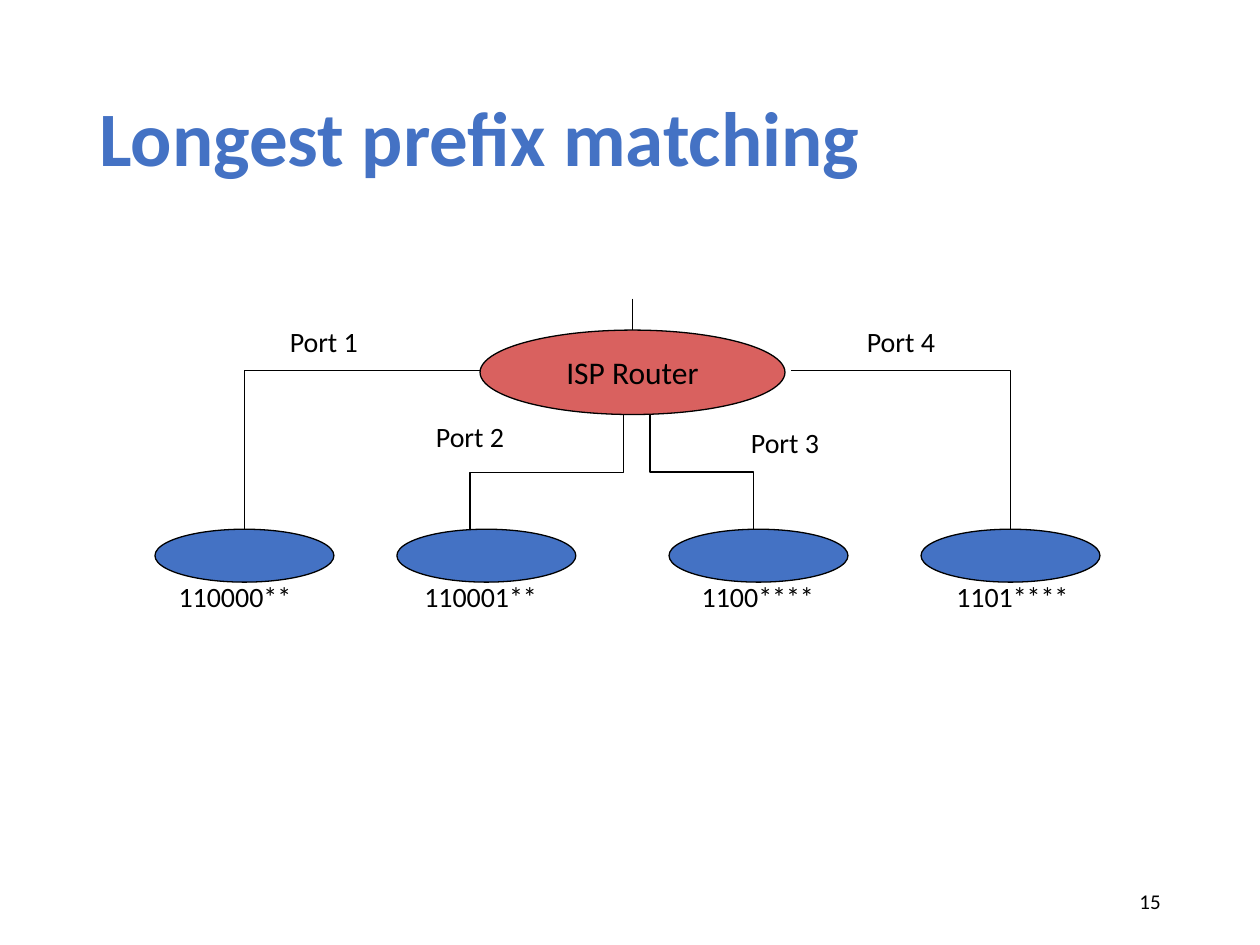
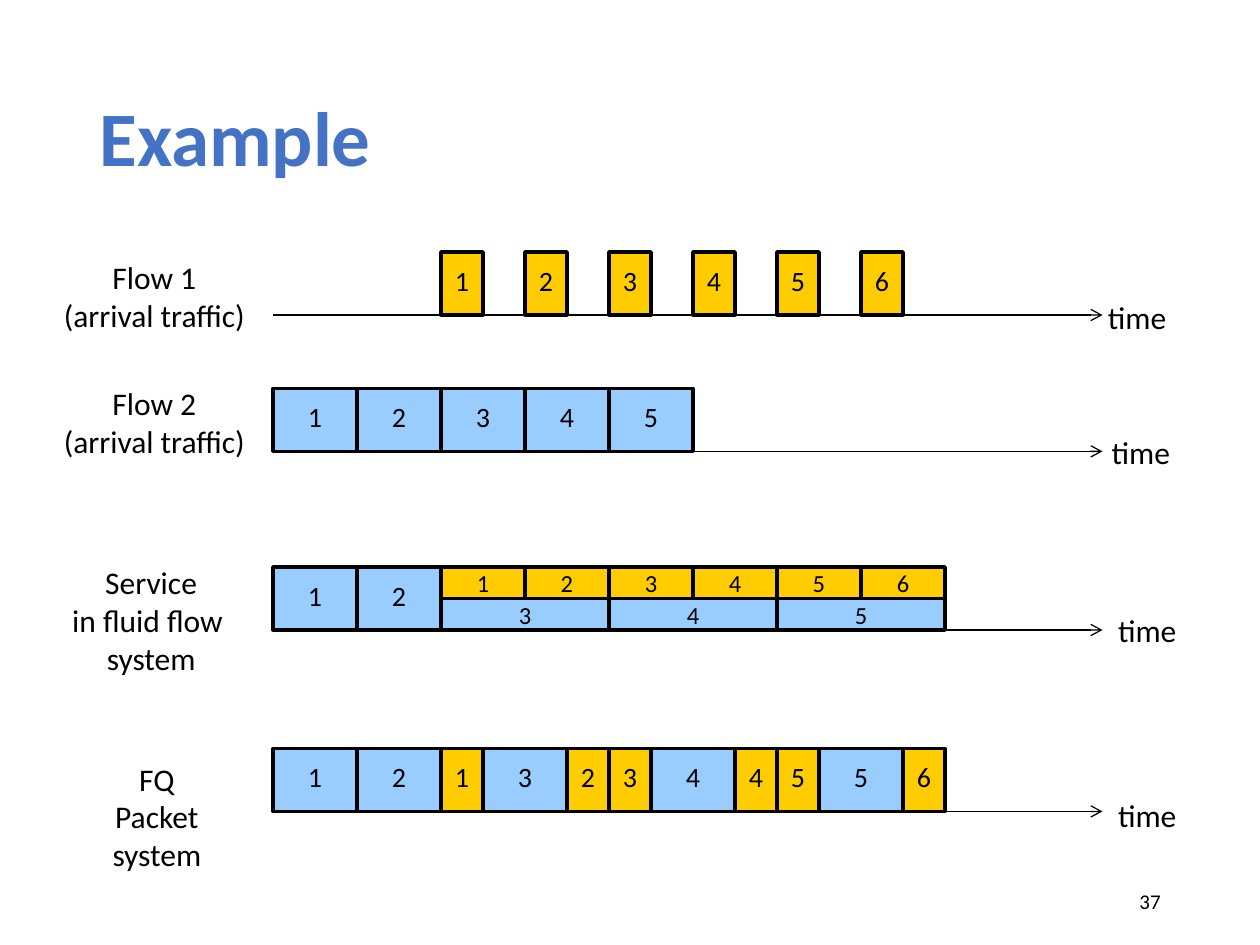
from lxml.etree import SubElement
from pptx import Presentation
from pptx.dml.color import RGBColor
from pptx.enum.shapes import MSO_CONNECTOR, MSO_SHAPE
from pptx.enum.text import MSO_ANCHOR, PP_ALIGN
from pptx.oxml.ns import qn
from pptx.util import Inches, Pt

COLORS = {
    "title": "4472C4",
    "host": "4472C4",
    "router": "D9615F",
    "flow1": "FFCC00",
    "flow2": "99CCFF",
    "ink": "000000",
}
FONT = "Calibri"
WIDTH, HEIGHT = Inches(10), Inches(7.5)
COL, ROW = WIDTH / 30, HEIGHT / 30
TIME_START, TIME_END = 6.5, 26.25
PACKET_ROWS = 2


def color(key):
    return RGBColor.from_string(COLORS[key])


def place(col, row, cols, rows):
    return round(col * COL), round(row * ROW), round(cols * COL), round(rows * ROW)


def write(frame, text, size=16, ink="ink", bold=False, align=PP_ALIGN.CENTER,
          anchor=MSO_ANCHOR.TOP, spacing=None):
    frame.text = text
    frame.word_wrap = True
    frame.vertical_anchor = anchor
    for paragraph in frame.paragraphs:
        paragraph.alignment = align
        paragraph.line_spacing = spacing
        for run in paragraph.runs:
            run.font.name = FONT
            run.font.size = Pt(size)
            run.font.bold = bold
            run.font.color.rgb = color(ink)


def add_label(slide, text, box, **style):
    write(slide.shapes.add_textbox(*place(*box)).text_frame, text, **style)


def add_block(slide, kind, box, fill, weight):
    block = slide.shapes.add_shape(kind, *place(*box))
    block.shadow.inherit = False
    block.fill.solid()
    block.fill.fore_color.rgb = color(fill)
    block.line.color.rgb = color("ink")
    block.line.width = Pt(weight)
    return block


def add_line(slide, start, end, kind=MSO_CONNECTOR.STRAIGHT, arrow=False):
    ends = place(*start, *end)
    line = slide.shapes.add_connector(kind, *ends)
    line.line.color.rgb = color("ink")
    line.line.width = Pt(0.75)
    if arrow:
        SubElement(line.line._get_or_add_ln(), qn("a:tailEnd"), type="arrow")
    SubElement(line._element.spPr, qn("a:effectLst"))
    return line


def add_corner(slide, start, end):
    corner = add_line(slide, start, end, MSO_CONNECTOR.ELBOW)
    corner._element.spPr.find(qn("a:prstGeom")).set("prst", "bentConnector2")


def add_drop(slide, start, end):
    (x1, y1), (x2, y2) = start, end
    mid_x, mid_y = (x1 + x2) / 2, (y1 + y2) / 2
    half_run = (x2 - x1) * COL / ROW / 2
    half_fall = (y2 - y1) * ROW / COL / 2
    drop = add_line(slide, (mid_x - half_fall, mid_y + half_run),
                    (mid_x + half_fall, mid_y - half_run), MSO_CONNECTOR.ELBOW)
    drop._element.spPr.find(qn("a:xfrm")).set("rot", str(90 * 60000))


def add_titled_slide(deck, title, number):
    slide = deck.slides.add_slide(deck.slide_layouts[5])
    heading = slide.shapes.title
    heading.left, heading.top, heading.width, heading.height = place(2.07, 1.6, 25.86, 5.8)
    write(heading.text_frame, title, size=44, ink="title", bold=True,
          align=PP_ALIGN.LEFT, anchor=MSO_ANCHOR.MIDDLE, spacing=0.9)
    add_label(slide, number, (21.18, 27.8, 6.75, 1.6), size=12,
              align=PP_ALIGN.RIGHT, anchor=MSO_ANCHOR.MIDDLE)
    return slide


def add_packet(slide, flow, number, slot, slots, row, rows=PACKET_ROWS):
    full = rows == PACKET_ROWS
    packet = add_block(slide, MSO_SHAPE.RECTANGLE,
                       (TIME_START + slot, row, slots, rows), flow, 2)
    frame = packet.text_frame
    frame.margin_left = frame.margin_right = frame.margin_top = 0
    frame.margin_bottom = Inches(0.05) if full else 0
    write(frame, str(number), size=16 if full else 14, anchor=MSO_ANCHOR.MIDDLE)


def add_timeline(slide, name, name_box, row, time_at):
    axis_row = row + PACKET_ROWS
    add_line(slide, (TIME_START, axis_row), (TIME_END, axis_row), arrow=True)
    add_label(slide, name, name_box, size=18)
    add_label(slide, "time", (*time_at, 2.19, 1.72), size=18)


def build_prefix_slide(deck):
    slide = add_titled_slide(deck, "Longest prefix matching", "15")
    networks = [("110000**", 3.69, 3), ("110001**", 9.45, 8.85),
                ("1100****", 15.93, 15.45), ("1101****", 21.93, 21.51)]
    for prefix, host_col, prefix_col in networks:
        add_block(slide, MSO_SHAPE.OVAL, (host_col, 16.8, 4.26, 1.68), "host", 0.75)
        add_label(slide, prefix, (prefix_col, 18.2, 5.19, 1.48))

    add_corner(slide, (11.61, 11.76), (5.82, 16.8))
    add_drop(slide, (14.85, 13.16), (11.19, 16.84))
    add_drop(slide, (15.48, 13.16), (17.94, 16.8))
    add_corner(slide, (18.84, 11.76), (24.06, 16.8))

    router = add_block(slide, MSO_SHAPE.OVAL, (11.43, 10.48, 7.26, 2.68), "router", 0.75)
    write(router.text_frame, "ISP Router", size=18, anchor=MSO_ANCHOR.MIDDLE)
    uplink = add_line(slide, (15.06, 9.48), (15.06, 10.48))
    uplink.end_connect(router, 0)

    ports = [(6.33, 10.12), (9.81, 13.12), (17.31, 13.32), (20.07, 10.12)]
    for number, corner in enumerate(ports, 1):
        add_label(slide, f"Port {number}", (*corner, 2.76, 1.48))


def build_queueing_slide(deck):
    slide = add_titled_slide(deck, "Example", "37")
    flow1_row, flow2_row, fluid_row, fq_row = 8, 12.33, 18, 23.76
    add_timeline(slide, "Flow 1\n(arrival traffic)", (0.81, 8, 5.73, 3.08),
                 flow1_row, (25.98, 9.28))
    add_timeline(slide, "Flow 2\n(arrival traffic)", (0.81, 12, 5.73, 3.08),
                 flow2_row, (26.07, 13.56))
    add_timeline(slide, "Service\nin fluid flow \nsystem", (1.2, 17.68, 4.8, 4.44),
                 fluid_row, (26.22, 19.2))
    add_timeline(slide, "FQ\vPacket\nsystem", (2.1, 23.92, 3.27, 4.44),
                 fq_row, (26.22, 25.08))

    half = PACKET_ROWS / 2
    for number in range(1, 7):
        slot = 2 + 2 * number
        add_packet(slide, "flow1", number, slot, 1, flow1_row)
        add_packet(slide, "flow1", number, slot, 2, fluid_row, half)
    for number in range(1, 6):
        slot = 2 * (number - 1)
        add_packet(slide, "flow2", number, slot, 2, flow2_row)
        if number <= 2:
            add_packet(slide, "flow2", number, slot, 2, fluid_row)
        else:
            add_packet(slide, "flow2", number, 4 * (number - 2), 4, fluid_row + half, half)

    slots_needed = {"flow1": 1, "flow2": 2}
    sent = {"flow1": 0, "flow2": 0}
    slot = 0
    for turn in "22121121121":
        flow = f"flow{turn}"
        sent[flow] += 1
        add_packet(slide, flow, sent[flow], slot, slots_needed[flow], fq_row)
        slot += slots_needed[flow]


def main():
    deck = Presentation()
    deck.slide_width, deck.slide_height = WIDTH, HEIGHT
    build_prefix_slide(deck)
    build_queueing_slide(deck)
    deck.save("out.pptx")


if __name__ == "__main__":
    main()
